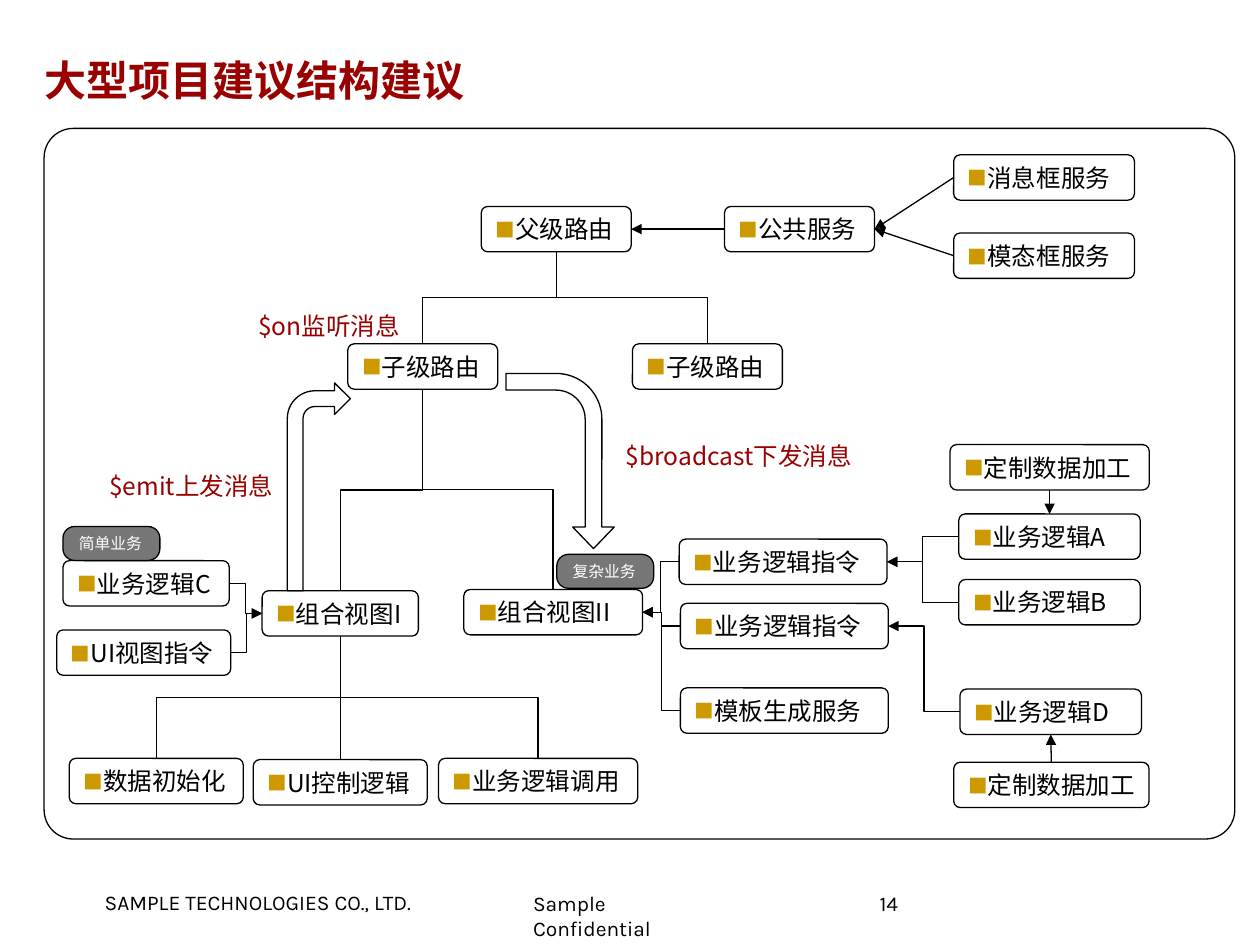
from lxml import etree
from pptx import Presentation
from pptx.dml.color import RGBColor
from pptx.enum.shapes import MSO_CONNECTOR as LINK, MSO_SHAPE as SHAPE
from pptx.enum.text import MSO_ANCHOR as ANCHOR
from pptx.oxml.ns import qn
from pptx.util import Pt

COLORS = {"red": "990000", "gold": "CC9900", "black": "000000",
          "white": "FFFFFF", "gray": "777777"}
CJK, LATIN = "Noto Sans CJK SC", "Karla"
NODE_HEIGHT = 25.9
TOP, LEFT, BOTTOM, RIGHT = range(4)

# name: (text, left, top, width), relative to the panel
NODES = {
    "parent": ("父级路由", 249.8, 44.6, 85.7),
    "common": ("公共服务", 388.8, 44.6, 85.7),
    "message": ("消息框服务", 519.8, 15.1, 103.3),
    "modal": ("模态框服务", 519.8, 59.8, 103.3),
    "child_left": ("子级路由", 173.5, 123.1, 85.7),
    "child_right": ("子级路由", 336.2, 123.1, 85.7),
    "view_1": ("组合视图I", 124.6, 264.2, 89.3),
    "view_2": ("组合视图II", 239.8, 263.5, 102.2),
    "logic_c": ("业务逻辑C", 10.8, 247, 95),
    "ui_command": ("UI视图指令", 7.2, 286.6, 99.4),
    "data_init": ("数据初始化", 14.4, 360, 99.4),
    "ui_control": ("UI控制逻辑", 119.5, 360.7, 99.4),
    "logic_call": ("业务逻辑调用", 225.4, 360, 113.8),
    "command_1": ("业务逻辑指令", 362.9, 234.7, 118.8),
    "command_2": ("业务逻辑指令", 363.6, 271.4, 118.8),
    "template": ("模板生成服务", 363.6, 319.7, 118.8),
    "custom_top": ("定制数据加工", 517.7, 180.7, 113.8),
    "logic_a": ("业务逻辑A", 522.7, 220.3, 103.7),
    "logic_b": ("业务逻辑B", 522.7, 257.8, 103.7),
    "logic_d": ("业务逻辑D", 523.4, 320.4, 103.7),
    "custom_low": ("定制数据加工", 519.8, 362.2, 111.6),
}

STRAIGHT_LINKS = [
    ("message", LEFT, "common", RIGHT),
    ("modal", LEFT, "common", RIGHT),
    ("common", LEFT, "parent", RIGHT),
    ("custom_low", TOP, "logic_d", BOTTOM),
]
TREE = {
    "parent": ["child_left", "child_right"],
    "child_left": ["view_1", "view_2"],
    "view_1": ["data_init", "ui_control", "logic_call"],
}
# target: (side joined, sources)
FEEDS = {
    "view_1": (LEFT, ["logic_c", "ui_command"]),
    "view_2": (RIGHT, ["command_1", "command_2", "template"]),
    "command_1": (RIGHT, ["logic_a", "logic_b"]),
    "command_2": (RIGHT, ["logic_d"]),
}


def rgb(name):
    return RGBColor.from_string(COLORS[name])


def write(shape, text, size=14, font=CJK, color="black", bold=False,
          bullet=False, anchor=ANCHOR.MIDDLE, insets=(7.2, 3.6, 7.2, 3.6),
          spacing=None):
    frame = shape.text_frame
    frame.word_wrap = True
    frame.vertical_anchor = anchor
    (frame.margin_left, frame.margin_top,
     frame.margin_right, frame.margin_bottom) = map(Pt, insets)
    para = frame.paragraphs[0]
    para.line_spacing = spacing
    props = para._p.get_or_add_pPr()
    props.set("algn", "l")
    if bullet:
        bullet_color = etree.SubElement(props, qn("a:buClr"))
        etree.SubElement(bullet_color, qn("a:srgbClr"), val=COLORS["gold"])
        etree.SubElement(props, qn("a:buSzPct"), val="80000")
        etree.SubElement(props, qn("a:buFont"), typeface=font)
        etree.SubElement(props, qn("a:buChar"), char="■")
    span = para.add_run()
    span.text = text
    span.font.name = font
    span.font.size = Pt(size)
    span.font.bold = bold
    span.font.color.rgb = rgb(color)
    etree.SubElement(span._r.get_or_add_rPr(), qn("a:ea"), typeface=font)


def add_text(page, box, text, **style):
    write(page.shapes.add_textbox(*map(Pt, box)), text, **style)


def add_outline(page, kind, box, fill=None, adjust=()):
    shape = page.shapes.add_shape(kind, *map(Pt, box))
    shape.shadow.inherit = False
    if fill:
        shape.fill.solid()
        shape.fill.fore_color.rgb = rgb(fill)
    else:
        shape.fill.background()
    shape.line.color.rgb = rgb("black")
    shape.line.width = Pt(0.75)
    for index, value in enumerate(adjust):
        shape.adjustments[index] = value
    return shape


def add_link(page, kind, start, start_side, end, end_side, arrow=True):
    link = page.shapes.add_connector(kind, 0, 0, 0, 0)
    link.begin_connect(start, start_side)
    link.end_connect(end, end_side)
    link.line.color.rgb = rgb("black")
    link.line.width = Pt(0.75)
    if arrow:
        etree.SubElement(link.line._get_or_add_ln(), qn("a:tailEnd"), type="triangle")
    etree.SubElement(link._element.spPr, qn("a:effectLst"))
    if kind == LINK.ELBOW and start_side == BOTTOM:
        turn_downward(link)


def turn_downward(link):
    """Rotate an elbow so that it leaves its start vertically."""
    across, down = link.end_x - link.begin_x, link.end_y - link.begin_y
    middle_x = (link.begin_x + link.end_x) // 2
    middle_y = (link.begin_y + link.end_y) // 2
    link.width, link.height = down, abs(across)
    link.left, link.top = middle_x - down // 2, middle_y - abs(across) // 2
    frame = link._element.spPr.find(qn("a:xfrm"))
    frame.set("rot", str((270 if across > 0 else 90) * 60000))
    frame.set("flipH", "1" if across > 0 else "0")
    frame.set("flipV", "0")


def add_diagram(page, area):
    left, top = area[:2]

    def place(x, y, width, height):
        return left + x, top + y, width, height

    add_outline(page, SHAPE.ROUNDED_RECTANGLE, area, adjust=[0.041])

    # Nodes
    nodes = {}
    for name, (text, x, y, width) in NODES.items():
        nodes[name] = add_outline(page, SHAPE.ROUNDED_RECTANGLE,
                                  place(x, y, width, NODE_HEIGHT), adjust=[0.143])
        write(nodes[name], text, bullet=True, insets=(7.2, 3.6, 0, 3.6))

    # Links
    for start, start_side, end, end_side in STRAIGHT_LINKS:
        add_link(page, LINK.STRAIGHT, nodes[start], start_side, nodes[end], end_side)
    for parent, children in TREE.items():
        for child in children:
            add_link(page, LINK.ELBOW, nodes[parent], BOTTOM, nodes[child], TOP,
                     arrow=False)
    for target, (side, sources) in FEEDS.items():
        for source in sources:
            add_link(page, LINK.ELBOW, nodes[source], LEFT + RIGHT - side,
                     nodes[target], side)
    add_link(page, LINK.ELBOW, nodes["custom_top"], BOTTOM, nodes["logic_a"], TOP)

    # Message arrows and their captions
    broadcast = add_outline(page, SHAPE.BENT_ARROW, place(244.8, 159.1, 100.1, 61.9),
                            adjust=[0.154, 0.192, 0.199, 0.422])
    broadcast.rotation = 90
    add_outline(page, SHAPE.BENT_ARROW, place(139, 145.4, 36, 118.8))
    for text, x, y, width in [("$emit上发消息", 30.2, 192.2, 120.2),
                              ("$broadcast下发消息", 325.4, 175, 161.3),
                              ("$on监听消息", 115.2, 100.8, 120.2)]:
        add_text(page, place(x, y, width, 24.5), text, color="red", anchor=ANCHOR.TOP)

    # Dark tags
    for text, x, y in [("复杂业务", 293, 243.4), ("简单业务", 10.8, 227.5)]:
        tag = add_outline(page, SHAPE.ROUNDED_RECTANGLE, place(x, y, 55.4, 19.4),
                          fill="gray", adjust=[0.345])
        write(tag, text, size=9, color="white")


def add_footer(page, area):
    left, top = area[:2]
    style = {"size": 12, "font": LATIN, "anchor": ANCHOR.TOP}
    add_text(page, (left, top, 220, 14.4), "SAMPLE TECHNOLOGIES CO., LTD.",
             insets=(0, 0, 6.5, 0), **style)
    add_text(page, (left + 238.3, top + 0.7, 112, 14.4), "Sample Confidential",
             insets=(6.5, 0, 6.5, 0), **style)
    add_text(page, (left + 442.8, top + 2.9, 141.8, 28.8), "14",
             insets=(0, 0, 0, 0), spacing=0.85, **style)


def main():
    deck = Presentation()
    deck.slide_width, deck.slide_height = Pt(720), Pt(540)
    page = deck.slides.add_slide(deck.slide_layouts[6])
    add_footer(page, (59.8, 508.3, 600, 32))
    add_text(page, (25.2, 25.2, 601.2, 40.3), "大型项目建议结构建议", size=24,
             color="red", bold=True, insets=(0, 2.9, 6.5, 2.9))
    add_diagram(page, (25.2, 73.4, 680.4, 406.1))
    deck.save("out.pptx")


if __name__ == "__main__":
    main()
